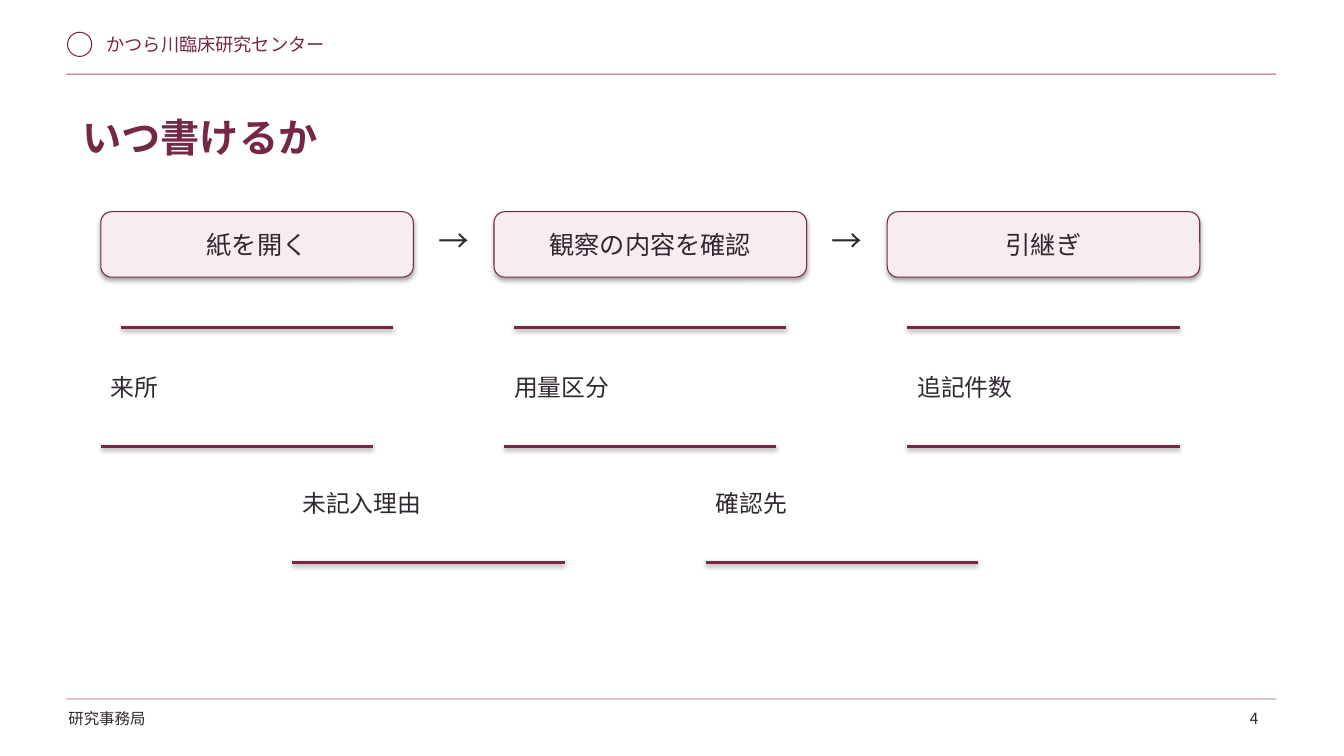
import pptx
import pptx.util
import pptx.dml.color
import pptx.enum.shapes
import pptx.enum.text
import pptx.oxml
import pptx.oxml.ns

Inch = pptx.util.Inches
Color = pptx.dml.color.RGBColor
Kind = pptx.enum.shapes.MSO_SHAPE
Align = pptx.enum.text.PP_ALIGN
Fit = pptx.enum.text.MSO_AUTO_SIZE

# Content
CENTER = "かつら川臨床研究センター"
OFFICE = "研究事務局"
PAGE = "4"
TITLE = "いつ書けるか"
STEPS = ["紙を開く", "観察の内容を確認", "引継ぎ"]
# Each row of fields: top, first left, step across, labels
FIELDS = [
    (3.65, 1, 4, ["来所", "用量区分", "追記件数"]),
    (4.8, 2.9, 4.1, ["未記入理由", "確認先"]),
]

# Look
WINE = Color(0x74, 0x27, 0x47)
ROSE = Color(0xAB, 0x58, 0x6C)
PALE = Color(0xF7, 0xED, 0xF1)
INK = Color(0x30, 0x28, 0x30)
FONT = "Noto Sans CJK JP"
HEAD = {"size": 13, "color": WINE}
BIG = {"size": 28, "color": WINE, "bold": True}
FOOT = {"size": 11, "color": INK}
STEP = {"size": 18, "color": INK}
ARROW = {"size": 22, "color": INK}
LABEL = {"size": 17, "color": INK}

# Grid
WIDE, HIGH = 13.33, 7.5
LEFT, SPAN = 0.66, 12
BOX_X, BOX_Y, BOX_W, BOX_H = 1, 2.1, 3.1, 0.65
PITCH = 3.9
LINE_W = 2.7
DROP = 0.78

deck = pptx.Presentation()
deck.slide_width, deck.slide_height = Inch(WIDE), Inch(HIGH)
slide = deck.slides.add_slide(deck.slide_layouts[6])
shapes = slide.shapes


def write(frame, text, form, align=Align.LEFT):
    frame.word_wrap = True
    para = frame.paragraphs[0]
    para.alignment = align
    run = para.add_run()
    run.text = text
    form = dict(form, name=FONT, size=pptx.util.Pt(form["size"]))
    run.font.color.rgb = form.pop("color")
    for key, value in form.items():
        setattr(run.font, key, value)
    east = pptx.oxml.parse_xml(
        f'<a:ea {pptx.oxml.ns.nsdecls("a")} typeface="{FONT}"/>')
    run.font._element.append(east)


def note(text, place, form, align=Align.LEFT, fit=Fit.NONE):
    box = shapes.add_textbox(*map(Inch, place))
    write(box.text_frame, text, form, align)
    box.text_frame.auto_size = fit
    return box


def draw(kind, place, fill=None, line=None):
    shape = shapes.add_shape(kind, *map(Inch, place))
    shape.shadow.inherit = False
    if fill is None:
        shape.fill.background()
    else:
        shape.fill.solid()
        shape.fill.fore_color.rgb = fill
    if line is None:
        shape.line.fill.background()
    else:
        shape.line.color.rgb = line
        shape.line.width = pptx.util.Pt(0.75)
    return shape


def shade(shape, alpha, dist):
    """Give the shape a soft shadow straight below it."""
    props = shape._element.spPr
    for old in props.findall(pptx.oxml.ns.qn("a:effectLst")):
        props.remove(old)
    props.append(pptx.oxml.parse_xml(
        f'<a:effectLst {pptx.oxml.ns.nsdecls("a")}>'
        f'<a:outerShdw blurRad="40000" dist="{dist}" dir="5400000" rotWithShape="0">'
        f'<a:srgbClr val="000000"><a:alpha val="{alpha * 1000}"/></a:srgbClr>'
        '</a:outerShdw></a:effectLst>'))


def rule(x, y):
    line = shapes.add_connector(
        pptx.enum.shapes.MSO_CONNECTOR.STRAIGHT,
        Inch(x), Inch(y), Inch(x + LINE_W), Inch(y))
    line.line.color.rgb = WINE
    line.line.width = pptx.util.Pt(2)
    shade(line, 38, 20000)


# Header and footer
draw(Kind.OVAL, (0.67, 0.32, 0.24, 0.24), line=WINE)
note(CENTER, (0.96, 0.28, 3.3, 0.35), HEAD)
for y in (0.73, 6.93):
    draw(Kind.RECTANGLE, (LEFT, y, SPAN, 0.01), fill=ROSE)
note(OFFICE, (0.58, 6.99, 1.8, 0.36), FOOT)
note(PAGE, (12.08, 6.99, 0.5, 0.3), FOOT, Align.RIGHT, Fit.SHAPE_TO_FIT_TEXT)

# Title
title = note(TITLE, (0.72, 1.02, 11.9, 0.81), BIG)
for side in ("left", "top", "right", "bottom"):
    setattr(title.text_frame, "margin_" + side, Inch(0.1))

# Steps, each with a line below and an arrow to the next
for i, text in enumerate(STEPS):
    x = BOX_X + i * PITCH
    step = draw(Kind.ROUNDED_RECTANGLE, (x, BOX_Y, BOX_W, BOX_H), PALE, WINE)
    shade(step, 35, 23000)
    step.text_frame.vertical_anchor = pptx.enum.text.MSO_ANCHOR.MIDDLE
    write(step.text_frame, text, STEP, Align.CENTER)
    rule(x + (BOX_W - LINE_W) / 2, 3.25)
    if i < len(STEPS) - 1:
        note("→", (x + BOX_W + 0.15, 2.15, 0.5, 0.5), ARROW,
             fit=Fit.SHAPE_TO_FIT_TEXT)

# Fields to fill in
for top, first, pitch, labels in FIELDS:
    for i, text in enumerate(labels):
        x = first + i * pitch
        note(text, (x, top, 3, 0.4), LABEL, fit=Fit.SHAPE_TO_FIT_TEXT)
        rule(x, top + DROP)

deck.save("out.pptx")
